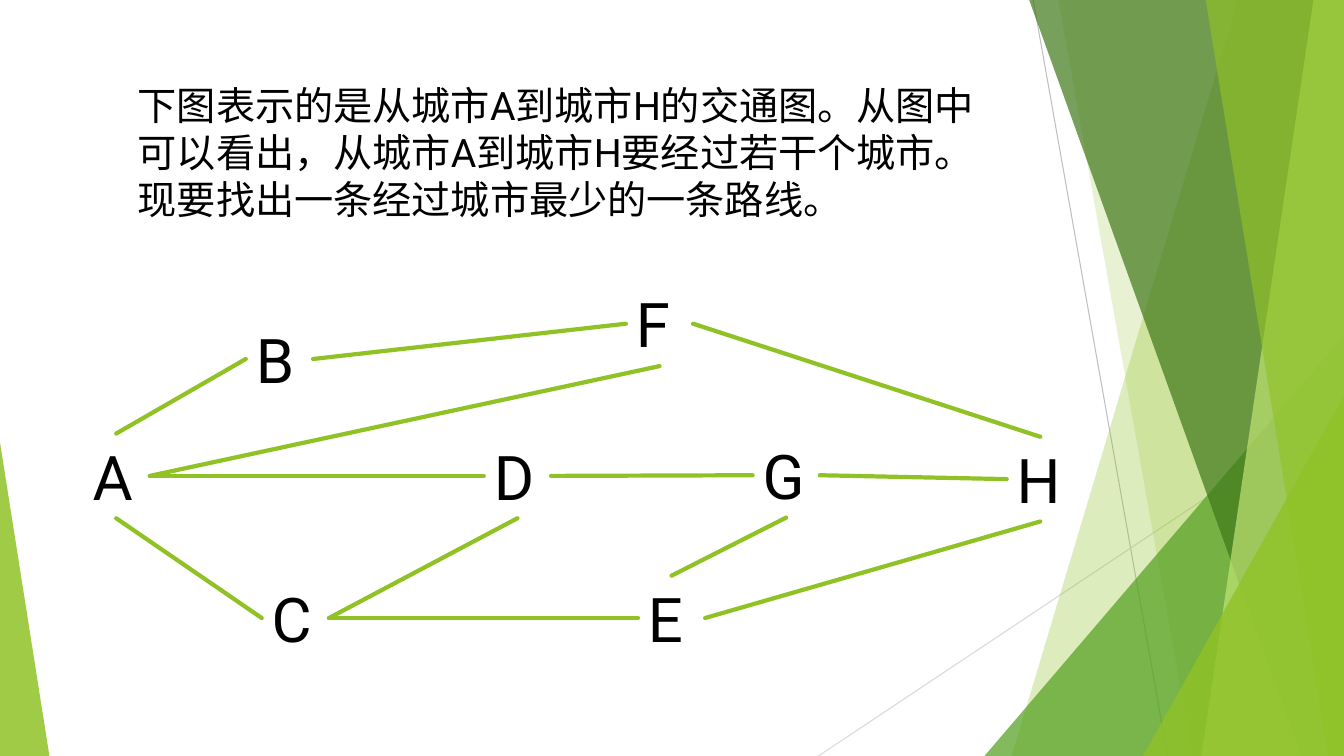
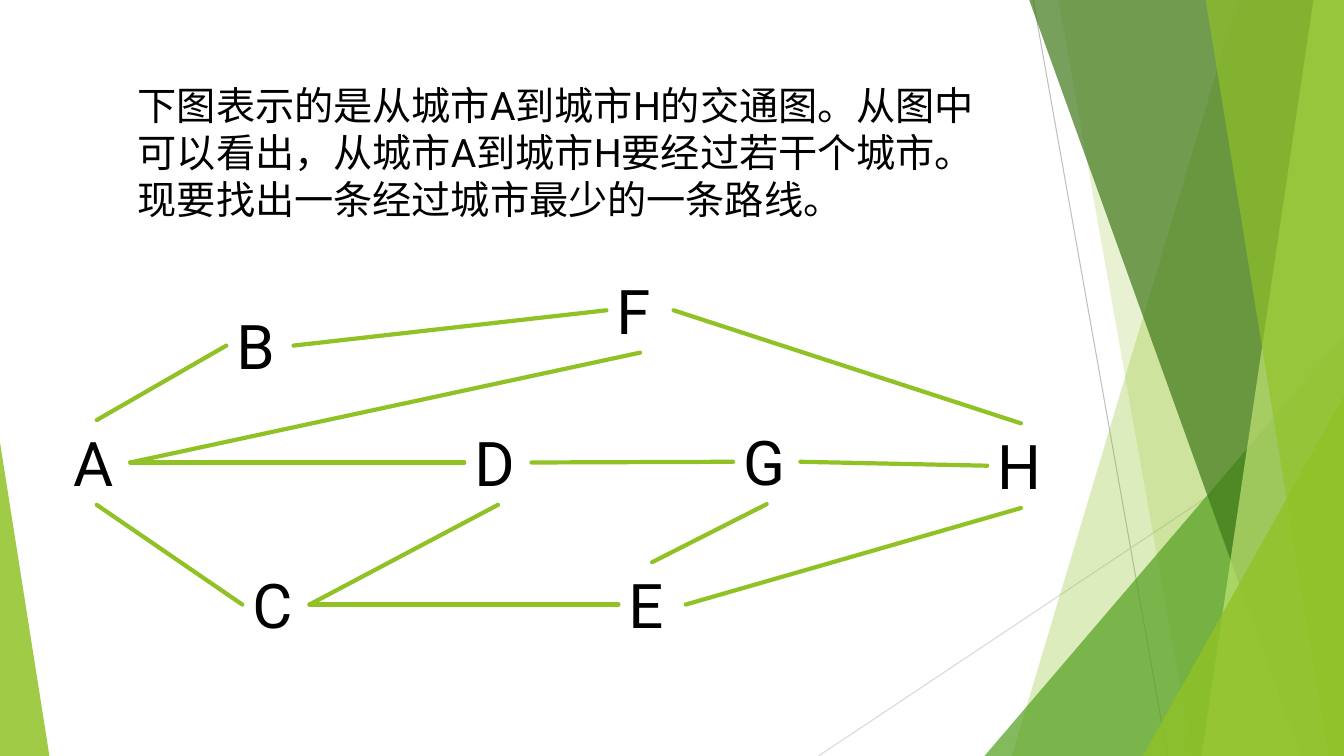
import pptx
import pptx.util
import pptx.dml.color
import pptx.enum.shapes
import pptx.enum.text
import pptx.oxml.ns
import lxml.etree
from dataclasses import dataclass

Pt = pptx.util.Pt
qn = pptx.oxml.ns.qn


@dataclass(frozen=True)
class Theme:
    font: str = "Roboto"
    ink: str = "000000"
    lime: str = "90C226"
    leaf: str = "54A021"
    moss: str = "3F7819"
    pale: str = "C0E474"
    gray: str = "BFBFBF"
    mist: str = "D9D9D9"
    body: float = 28
    label: float = 44
    hair: float = 0.75
    road: float = 3


THEME = Theme()
WIDE, HIGH = 960, 540
TOP, LEFT, FOOT, RIGHT = range(4)
NODE = (48, 60.5)
PROMPT = "下图表示的是从城市A到城市H的交通图。从图中可以看出，从城市A到城市H要经过若干个城市。现要找出一条经过城市最少的一条路线。"

TOWNS = {
    "A": (0, 108.7), "B": (116.6, 25.2), "C": (128, 210.2), "D": (286.6, 108.7),
    "E": (396.7, 210.2), "F": (388.1, 0), "G": (478.6, 108.2), "H": (660.1, 111),
}
ROADS = [
    ("A", RIGHT, "D", LEFT), ("D", RIGHT, "G", LEFT), ("G", RIGHT, "H", LEFT),
    ("C", RIGHT, "E", LEFT), ("E", RIGHT, "H", FOOT), ("A", FOOT, "C", LEFT),
    ("C", RIGHT, "D", FOOT), ("A", TOP, "B", LEFT), ("B", RIGHT, "F", LEFT),
    ("F", RIGHT, "H", TOP), ("E", TOP, "G", FOOT), ("A", RIGHT, "F", FOOT),
]
PAGES = [
    {"text": (91.4, 54.7, 633.6, 108.7), "map": (59, 201)},
    {"text": (91.4, 54.7, 629.3, 108.7), "map": (45.1, 191.4)},
]


def rgb(code):
    return pptx.dml.color.RGBColor.from_string(code)


def paint(shape, color, alpha):
    shape.shadow.inherit = False
    shape.fill.solid()
    shape.fill.fore_color.rgb = rgb(color)
    shape.line.fill.background()
    tint = shape.fill._xPr.find(qn("a:solidFill"))[0]
    lxml.etree.SubElement(tint, qn("a:alpha")).set("val", str(alpha * 1000))


def band(slide, top, foot, color, alpha):
    path = slide.shapes.build_freeform(Pt(top), 0)
    path.add_line_segments([(Pt(WIDE), 0), (Pt(WIDE), Pt(HIGH)), (Pt(foot), Pt(HIGH))])
    paint(path.convert_to_shape(), color, alpha)


def peak(slide, left, top, width, tip, color, alpha):
    kind = pptx.enum.shapes.MSO_SHAPE.ISOSCELES_TRIANGLE
    shape = slide.shapes.add_shape(kind, Pt(left), Pt(top), Pt(width), Pt(HIGH - top))
    shape.adjustments[0] = tip
    paint(shape, color, alpha)


def line(slide, ends, color, width):
    kind = pptx.enum.shapes.MSO_CONNECTOR.STRAIGHT
    link = slide.shapes.add_connector(kind, *[Pt(end) for end in ends])
    link.line.color.rgb = rgb(color)
    link.line.width = Pt(width)
    lxml.etree.SubElement(link._element.spPr, qn("a:effectLst"))
    return link


def write(slide, box, text, size):
    shape = slide.shapes.add_textbox(*[Pt(side) for side in box])
    frame = shape.text_frame
    frame.word_wrap = True
    frame.auto_size = pptx.enum.text.MSO_AUTO_SIZE.NONE
    frame.text = text
    for run in frame.paragraphs[0].runs:
        run.font.size = Pt(size)
        run.font.name = THEME.font
        run.font.color.rgb = rgb(THEME.ink)
        east = lxml.etree.SubElement(run.font._element, qn("a:ea"))
        east.set("typeface", THEME.font)
    return shape


def backdrop(slide):
    line(slide, (738, 0, 834, HIGH), THEME.gray, THEME.hair)
    line(slide, (WIDE, 290, 584.6, HIGH), THEME.mist, THEME.hair)
    band(slide, 884.3, 722.7, THEME.lime, 30)
    band(slide, 756, 851.8, THEME.lime, 20)
    peak(slide, 703.2, 239.6, 256.8, 1, THEME.leaf, 72)
    band(slide, 735.2, 929.4, THEME.moss, 70)
    band(slide, 938.2, 858.2, THEME.pale, 70)
    band(slide, 861.2, 949, THEME.lime, 65)
    peak(slide, 816.5, 283, 143.5, 1, THEME.lime, 80)
    peak(slide, 0, 316, 35.3, 0, THEME.lime, 85)


def roadmap(slide, left, top):
    nodes = {}
    for name, (x, y) in TOWNS.items():
        nodes[name] = write(slide, (left + x, top + y, *NODE), name, THEME.label)
    for start, out, stop, into in ROADS:
        road = line(slide, (0, 0, 0, 0), THEME.lime, THEME.road)
        road.begin_connect(nodes[start], out)
        road.end_connect(nodes[stop], into)
        road.get_or_add_ln().set("cap", "rnd")


def main():
    deck = pptx.Presentation()
    deck.slide_width, deck.slide_height = Pt(WIDE), Pt(HIGH)
    for page in PAGES:
        slide = deck.slides.add_slide(deck.slide_layouts[6])
        backdrop(slide)
        write(slide, page["text"], PROMPT, THEME.body)
        roadmap(slide, *page["map"])
    deck.save("out.pptx")


if __name__ == "__main__":
    main()
